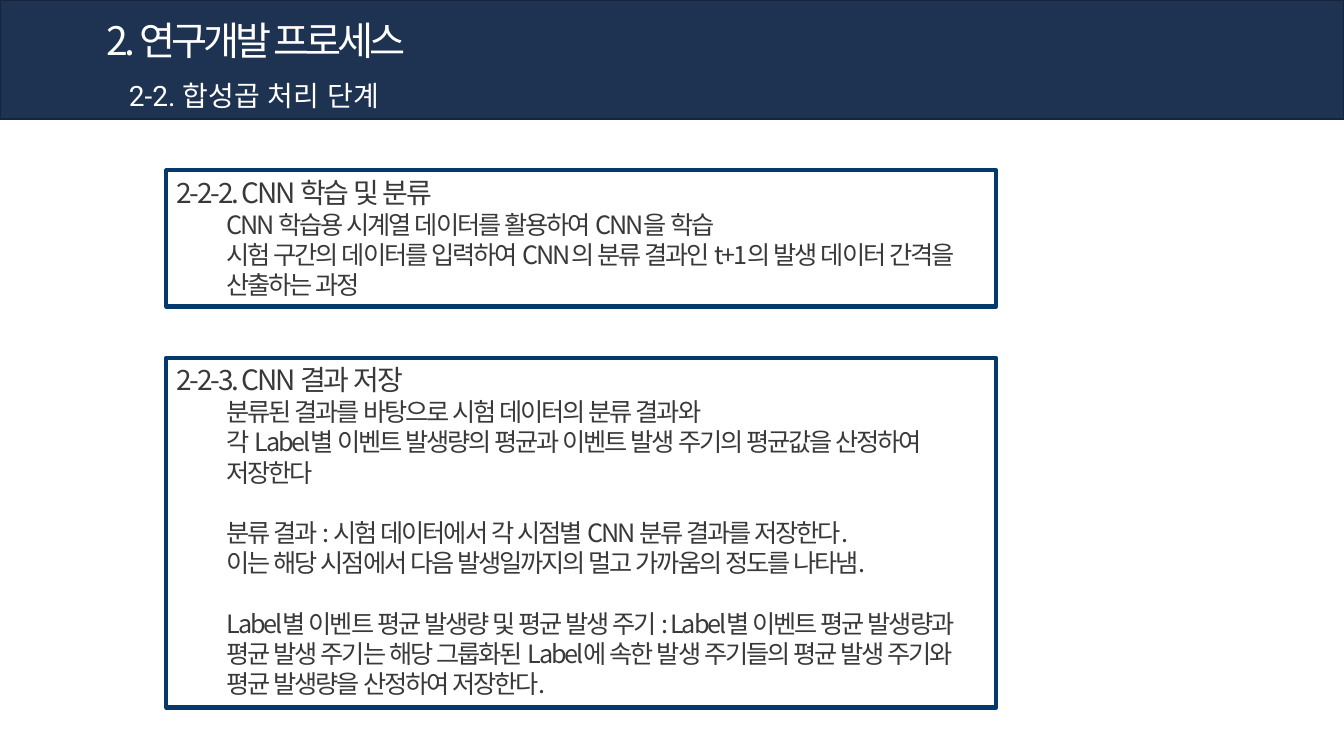
from dataclasses import dataclass

from lxml.etree import SubElement
from pptx import Presentation
from pptx.dml.color import RGBColor
from pptx.enum.shapes import MSO_SHAPE as Shape
from pptx.enum.text import MSO_ANCHOR as Anchor, PP_ALIGN as Align
from pptx.oxml.ns import qn
from pptx.util import Inches, Pt

COLORS = {
    "navy": "1E3252",
    "edge": "16253D",
    "frame": "04396C",
    "ink": "393939",
    "white": "FFFFFF",
}
NOTO = "Noto Sans CJK KR"
LEAD = 1.2


@dataclass
class Style:
    size: float
    color: str
    font: str = NOTO
    track: float = 0


@dataclass
class Title:
    left: float
    top: float
    width: float
    height: float
    text: str
    style: Style


@dataclass
class Panel:
    top: float
    height: float
    head: str
    groups: list[list[str]]


HEAD = Style(20, "ink", track=-1.5)
BODY = Style(18, "ink", track=-1.5)

TITLES = [
    Title(0.96, 0.11, 3.46, 0.57, "2. 연구개발 프로세스",
          Style(28, "white", track=-3)),
    Title(1.18, 0.73, 2.88, 0.44, "2-2. 합성곱 처리 단계",
          Style(20, "white", "Roboto")),
]

PANELS = [
    Panel(1.69, 1.35, "2-2-2. CNN 학습 및 분류", [[
        "CNN 학습용 시계열 데이터를 활용하여 CNN을 학습",
        "시험 구간의 데이터를 입력하여 CNN의 분류 결과인 t+1의 발생 데이터 간격을 산출하는 과정",
    ]]),
    Panel(3.55, 3.47, "2-2-3. CNN 결과 저장", [
        [
            "분류된 결과를 바탕으로 시험 데이터의 분류 결과와",
            "각 Label별 이벤트 발생량의 평균과 이벤트 발생 주기의 평균값을 산정하여 저장한다",
        ],
        [
            "분류 결과 : 시험 데이터에서 각 시점별 CNN 분류 결과를 저장한다.",
            "이는 해당 시점에서 다음 발생일까지의 멀고 가까움의 정도를 나타냄.",
        ],
        [
            "Label별 이벤트 평균 발생량 및 평균 발생 주기 : Label별 이벤트 평균 발생량과 "
            "평균 발생 주기는 해당 그룹화된 Label에 속한 발생 주기들의 평균 발생 주기와 "
            "평균 발생량을 산정하여 저장한다.",
        ],
    ]),
]


def color(name: str) -> RGBColor:
    return RGBColor.from_string(COLORS[name])


def write(para, text: str, style: Style) -> None:
    """Add one styled run with its tracking and East Asian font."""
    para.alignment = Align.LEFT
    para.line_spacing = Pt(style.size * LEAD)
    run = para.add_run()
    run.text = text
    run.font.size = Pt(style.size)
    run.font.name = style.font
    run.font.color.rgb = color(style.color)
    props = run._r.get_or_add_rPr()
    props.set("lang", "ko-KR")
    if style.track:
        props.set("spc", str(round(style.track * 100)))
    SubElement(props, qn("a:ea"), typeface=NOTO)


def add_rect(slide, left: float, top: float, width: float, height: float,
             line: str, weight: float, fill: str | None = None):
    rect = slide.shapes.add_shape(Shape.RECTANGLE, Inches(left), Inches(top),
                                  Inches(width), Inches(height))
    rect.shadow.inherit = False
    if fill:
        rect.fill.solid()
        rect.fill.fore_color.rgb = color(fill)
    else:
        rect.fill.background()
    rect.line.color.rgb = color(line)
    rect.line.width = Pt(weight)
    return rect


def add_title(slide, title: Title) -> None:
    box = slide.shapes.add_textbox(Inches(title.left), Inches(title.top),
                                   Inches(title.width), Inches(title.height))
    box.text_frame.word_wrap = False
    write(box.text_frame.paragraphs[0], title.text, title.style)


def add_panel(slide, panel: Panel) -> None:
    rect = add_rect(slide, 1.65, panel.top, 8.23, panel.height, "frame", 3)
    frame = rect.text_frame
    frame.word_wrap = True
    frame.vertical_anchor = Anchor.TOP
    write(frame.paragraphs[0], panel.head, HEAD)
    for rank, group in enumerate(panel.groups):
        for row, text in enumerate(group):
            para = frame.add_paragraph()
            para.level = 1
            props = para._p.get_or_add_pPr()
            props.set("marL", str(Inches(0.5)))
            props.set("indent", "0")
            if rank and not row:
                para.space_before = Pt(BODY.size * LEAD)
            write(para, text, BODY)


def main() -> None:
    deck = Presentation()
    deck.slide_width, deck.slide_height = Inches(13.33), Inches(7.5)
    slide = deck.slides.add_slide(deck.slide_layouts[6])
    add_rect(slide, 0, 0, 13.33, 1.18, "edge", 1, "navy")
    for title in TITLES:
        add_title(slide, title)
    for panel in PANELS:
        add_panel(slide, panel)
    deck.save("out.pptx")


if __name__ == "__main__":
    main()
